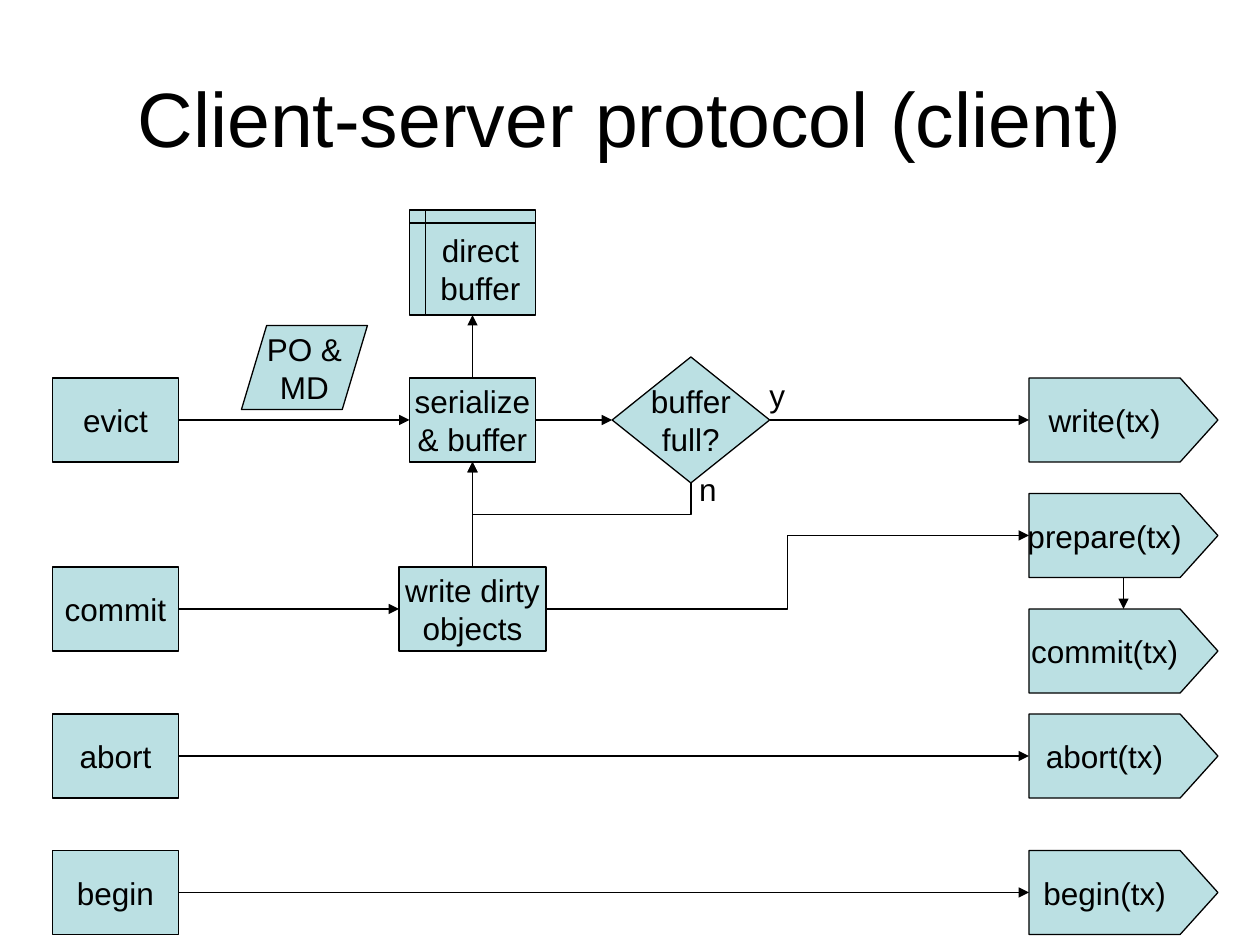
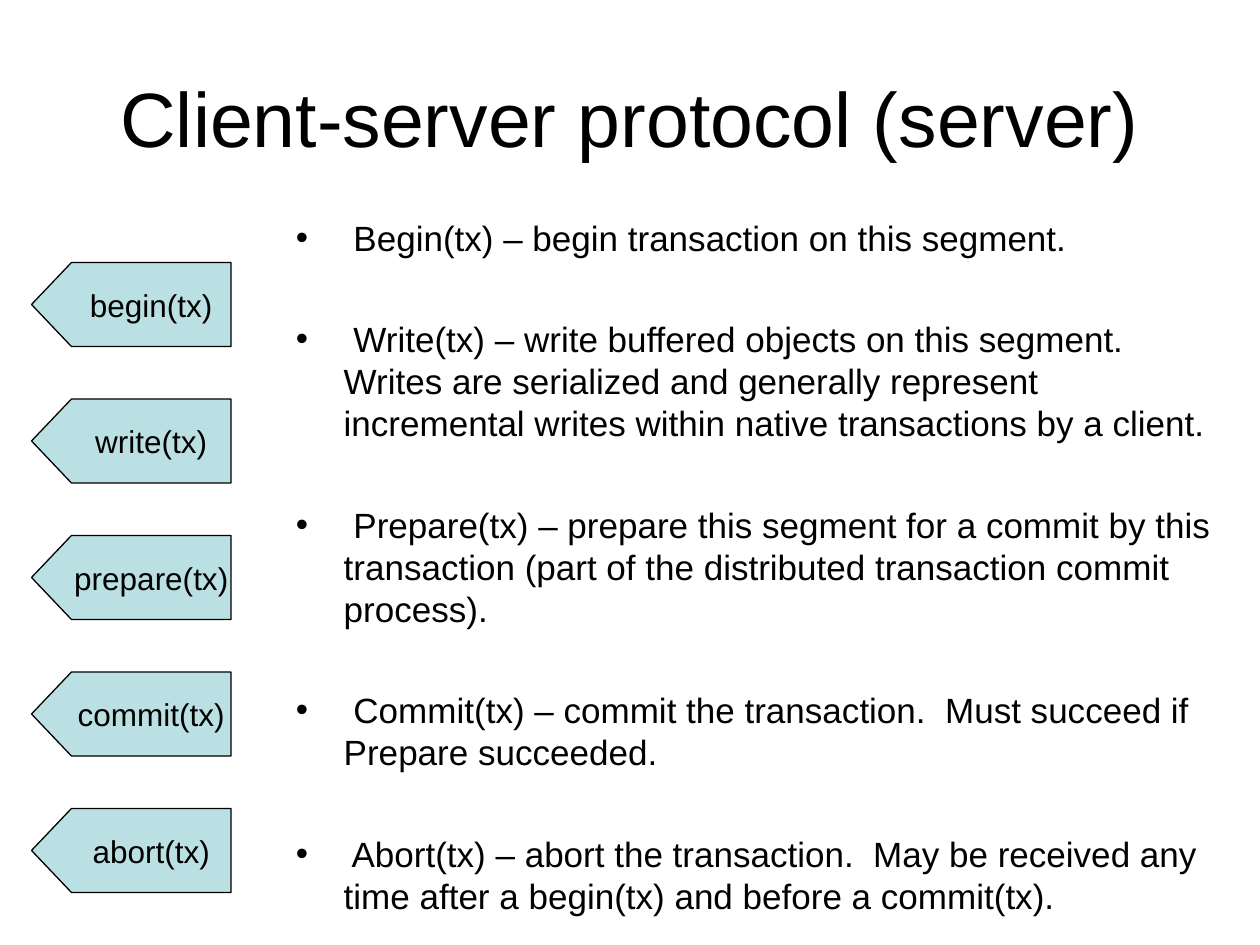
from lxml.etree import SubElement
from pptx import Presentation
from pptx.dml.color import RGBColor
from pptx.enum.shapes import MSO_CONNECTOR, MSO_SHAPE
from pptx.enum.text import MSO_ANCHOR, MSO_AUTO_SIZE, PP_ALIGN
from pptx.oxml.ns import qn
from pptx.util import Inches, Pt

INK = RGBColor(0, 0, 0)
PAPER = RGBColor(255, 255, 255)
AQUA = RGBColor(0xBB, 0xE0, 0xE3)
FONT = "Arial"
PROCESS = MSO_SHAPE.FLOWCHART_PROCESS
CELL = 1 / 12  # the grid has twelve cells to the inch
BOX_HEIGHT = 8

CLIENT_TITLE = "Client-server protocol (client)"
SERVER_TITLE = "Client-server protocol (server)"

# Columns and rows of the grid
CALL_LEFT, CALL_WIDTH = 5, 12
CALL_RIGHT = CALL_LEFT + CALL_WIDTH
STEP_LEFT, STEP_MIDDLE, STEP_RIGHT = 39, 45, 51
DIRTY_LEFT, DIRTY_RIGHT = 38, 52
FULL_LEFT, FULL_MIDDLE, FULL_RIGHT = 58.3, 65.8, 73.3
MESSAGE_LEFT, MESSAGE_WIDTH = 98, 18
MESSAGE_MIDDLE = MESSAGE_LEFT + MESSAGE_WIDTH / 2
EVICT, PREPARE, COMMIT, COMMIT_TX, ABORT, BEGIN = 40, 51, 58, 62, 72, 85

CALLS = [("evict", EVICT), ("commit", COMMIT), ("abort", ABORT), ("begin", BEGIN)]
MESSAGES = [("write(tx)", EVICT), ("prepare(tx)", PREPARE), ("commit(tx)", COMMIT_TX),
            ("abort(tx)", ABORT), ("begin(tx)", BEGIN)]
# text, preset, left, middle row, width, height
STEPS = [
    ("PO &\nMD", MSO_SHAPE.FLOWCHART_DATA, 23, 35, 12, BOX_HEIGHT),
    ("direct\nbuffer", MSO_SHAPE.FLOWCHART_INTERNAL_STORAGE, STEP_LEFT, 25, 12, 10),
    ("serialize\n& buffer", PROCESS, STEP_LEFT, EVICT, 12, BOX_HEIGHT),
    ("buffer\nfull?", MSO_SHAPE.FLOWCHART_DECISION, FULL_LEFT, EVICT, 15, 12),
    ("write dirty\nobjects", PROCESS, DIRTY_LEFT, COMMIT, 14, BOX_HEIGHT),
]
ANSWERS = [("y", 72.1, 35.2), ("n", 65.4, 44.2)]
ARROWS = [
    ((CALL_RIGHT, EVICT), (STEP_LEFT, EVICT)),
    ((STEP_RIGHT, EVICT), (FULL_LEFT, EVICT)),
    ((FULL_RIGHT, EVICT), (MESSAGE_LEFT, EVICT)),
    ((CALL_RIGHT, COMMIT), (DIRTY_LEFT, COMMIT)),
    ((CALL_RIGHT, ABORT), (MESSAGE_LEFT, ABORT)),
    ((CALL_RIGHT, BEGIN), (MESSAGE_LEFT, BEGIN)),
    ((STEP_MIDDLE, EVICT - 4), (STEP_MIDDLE, 30)),
    ((STEP_MIDDLE, COMMIT - 4), (STEP_MIDDLE, EVICT + 4)),
    ((MESSAGE_MIDDLE, PREPARE + 4), (MESSAGE_MIDDLE, COMMIT_TX - 4)),
]

SERVER_MESSAGES = ["begin(tx)", "write(tx)", "prepare(tx)", "commit(tx)", "abort(tx)"]
SERVER_LEFT, SERVER_WIDTH = 3, 19
SERVER_TOP, SERVER_PITCH = 29, 13
MEANINGS = [
    " Begin(tx) – begin transaction on this segment.",
    " Write(tx) – write buffered objects on this segment.  Writes are serialized and "
    "generally represent incremental writes within native transactions by a client.",
    " Prepare(tx) – prepare this segment for a commit by this transaction "
    "(part of the distributed transaction commit process).",
    " Commit(tx) – commit the transaction.  Must succeed if Prepare succeeded.",
    " Abort(tx) – abort the transaction.  May be received any time after a begin(tx) "
    "and before a commit(tx).",
]


def grid(*cells):
    return [Inches(cell * CELL) for cell in cells]


def set_font(frame, size, align):
    for paragraph in frame.paragraphs:
        paragraph.alignment = align
        paragraph.font.name = FONT
        paragraph.font.size = Pt(size)
        paragraph.font.color.rgb = INK


def add_titled_slide(deck, text):
    slide = deck.slides.add_slide(deck.slide_layouts[5])
    slide.background.fill.solid()
    slide.background.fill.fore_color.rgb = PAPER
    title = slide.shapes.title
    title.left, title.top, title.width, title.height = map(Inches, (0.5, 0.3, 9, 1.25))
    title.text_frame.text = text
    title.text_frame.vertical_anchor = MSO_ANCHOR.MIDDLE
    set_font(title.text_frame, 44, PP_ALIGN.CENTER)
    return slide


def add_node(slide, text, preset, left, middle, width, height=BOX_HEIGHT):
    node = slide.shapes.add_shape(preset, *grid(left, middle - height / 2, width, height))
    node.shadow.inherit = False
    node.fill.solid()
    node.fill.fore_color.rgb = AQUA
    node.line.color.rgb = INK
    node.line.width = Pt(0.75)
    frame = node.text_frame
    frame.text = text
    frame.word_wrap = False
    frame.vertical_anchor = MSO_ANCHOR.MIDDLE
    set_font(frame, 18, PP_ALIGN.CENTER)
    return node


def add_message(slide, text, left, middle, width, points_left=False):
    """Add an off-page connector lying on its side, with upright centred text."""
    upright_left = left + (width - BOX_HEIGHT) / 2
    node = add_node(slide, text, MSO_SHAPE.FLOWCHART_OFFPAGE_CONNECTOR,
                    upright_left, middle, BOX_HEIGHT, width)
    node.rotation = 90 if points_left else 270
    frame = node.text_frame
    frame.margin_left = frame.margin_right = Inches(0.05)
    frame.margin_top = frame.margin_bottom = 0
    body = frame._txBody.bodyPr
    body.set("vert", "eaVert")
    body.set("anchorCtr", "1")
    if points_left:
        body.set("rot", "10800000")


def add_arrow(slide, start, end, kind=MSO_CONNECTOR.STRAIGHT):
    arrow = slide.shapes.add_connector(kind, *grid(*start, *end))
    arrow.line.color.rgb = INK
    arrow.line.width = Pt(0.75)
    SubElement(arrow.line._get_or_add_ln(), qn("a:tailEnd"), type="triangle")
    SubElement(arrow._element.spPr, qn("a:effectLst"))
    return arrow


def add_loop_arrow(slide, start, end, drop):
    """Add an elbow that leaves downwards by drop, runs left and returns upwards."""
    (x1, y1), (x2, y2) = start, end
    run, rise = x1 - x2, y1 - y2
    arrow = add_arrow(slide, start, end, MSO_CONNECTOR.ELBOW)
    arrow.left, arrow.top, arrow.width, arrow.height = grid(
        (x1 + x2 - rise) / 2, (y1 + y2 - run) / 2, rise, run)
    properties = arrow._element.spPr
    turn = properties.find(qn("a:xfrm"))
    turn.set("rot", "16200000")
    turn.set("flipH", "0")
    turn.set("flipV", "1")
    guides = properties.find(qn("a:prstGeom")).find(qn("a:avLst"))
    SubElement(guides, qn("a:gd"), name="adj1", fmla=f"val {round(-drop / rise * 100000)}")


def add_answer(slide, text, left, top):
    answer = slide.shapes.add_textbox(*grid(left, top, 4, 4.8))
    frame = answer.text_frame
    frame.text = text
    frame.word_wrap = False
    frame.auto_size = MSO_AUTO_SIZE.SHAPE_TO_FIT_TEXT
    set_font(frame, 18, PP_ALIGN.LEFT)


def add_bullets(slide, lines):
    frame = slide.shapes.add_textbox(*grid(27, 20, 91, 68)).text_frame
    frame.word_wrap = True
    frame.text = "\n".join(lines)
    set_font(frame, 20, PP_ALIGN.LEFT)
    for paragraph in frame.paragraphs:
        paragraph.space_before = Pt(5)
        paragraph.space_after = Pt(29)
        properties = paragraph._p.get_or_add_pPr()
        properties.set("marL", str(Inches(0.38)))
        properties.set("indent", str(-Inches(0.38)))
        run_defaults = properties.find(qn("a:defRPr"))
        run_defaults.addprevious(SubElement(properties, qn("a:buFont"), typeface=FONT))
        run_defaults.addprevious(SubElement(properties, qn("a:buChar"), char="•"))


def build_client(deck):
    slide = add_titled_slide(deck, CLIENT_TITLE)
    for text, row in CALLS:
        add_node(slide, text, PROCESS, CALL_LEFT, row, CALL_WIDTH)
    for step in STEPS:
        add_node(slide, *step)
    for text, row in MESSAGES:
        add_message(slide, text, MESSAGE_LEFT, row, MESSAGE_WIDTH)
    for start, end in ARROWS:
        add_arrow(slide, start, end)
    add_arrow(slide, (DIRTY_RIGHT, COMMIT), (MESSAGE_LEFT, PREPARE), MSO_CONNECTOR.ELBOW)
    add_loop_arrow(slide, (FULL_MIDDLE, EVICT + 6), (STEP_MIDDLE, EVICT + 4), drop=3)
    for answer in ANSWERS:
        add_answer(slide, *answer)


def build_server(deck):
    slide = add_titled_slide(deck, SERVER_TITLE)
    for index, text in enumerate(SERVER_MESSAGES):
        add_message(slide, text, SERVER_LEFT, SERVER_TOP + index * SERVER_PITCH,
                    SERVER_WIDTH, points_left=True)
    add_bullets(slide, MEANINGS)


def main():
    deck = Presentation()
    deck.slide_width, deck.slide_height = Inches(10), Inches(7.5)
    build_client(deck)
    build_server(deck)
    deck.save("out.pptx")


if __name__ == "__main__":
    main()
